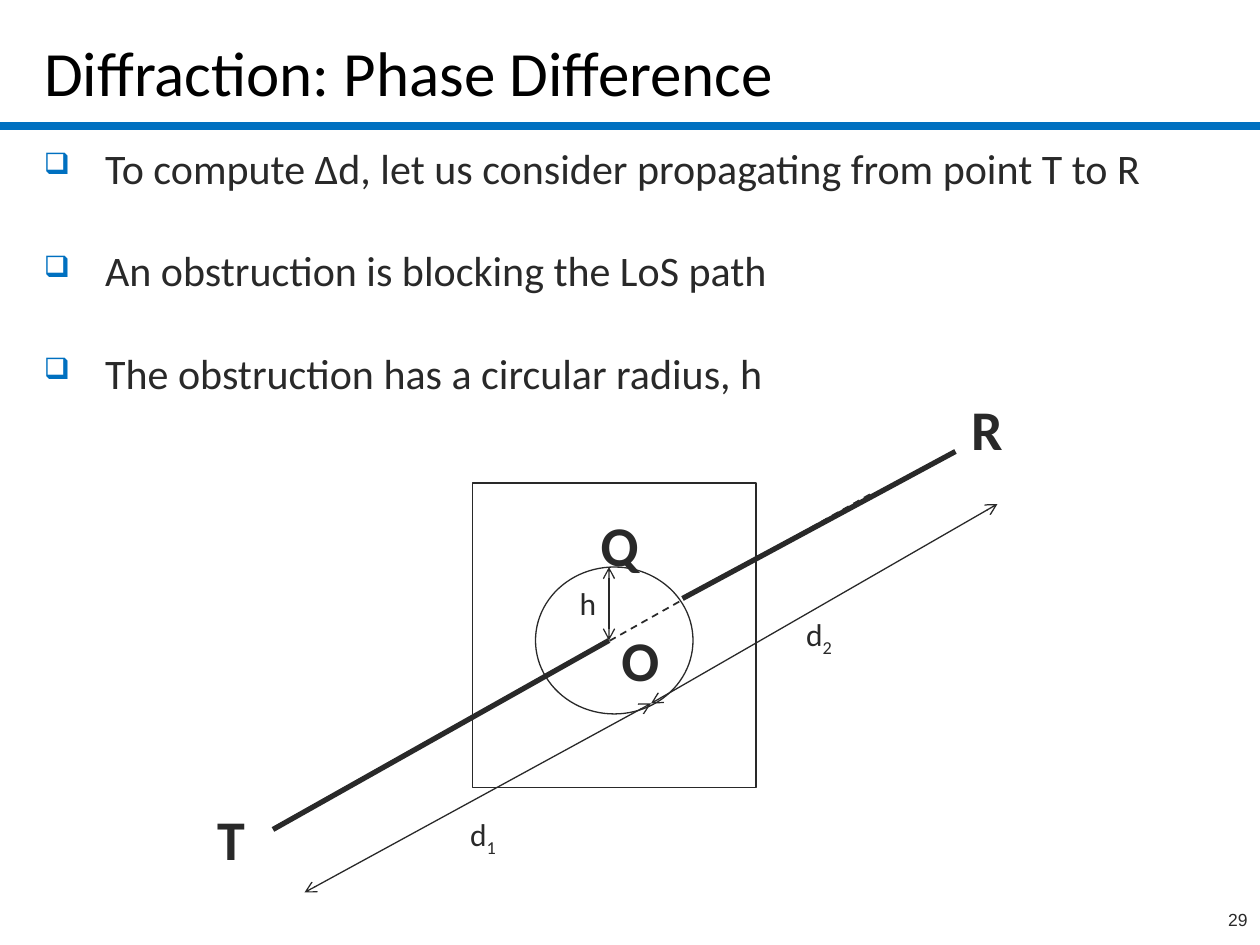
from lxml import etree
from pptx import Presentation
from pptx.dml.color import RGBColor
from pptx.enum import dml, shapes, text
from pptx.oxml.ns import qn
from pptx.util import Pt

BLUE = RGBColor(0x00, 0x70, 0xC0)
INK = RGBColor(0x29, 0x29, 0x29)
BLACK = RGBColor(0, 0, 0)

BULLETS = [
    "To compute ∆d, let us consider propagating from point T to R",
    "An obstruction is blocking the LoS path",
    "The obstruction has a circular radius, h",
]


def place(sp, left, top, width, height):
    box = {"left": left, "top": top, "width": width, "height": height}
    for name, value in box.items():
        setattr(sp, name, Pt(value))


def add_run(p, words, size, color=INK, font="Calibri", bold=False):
    r = p.add_run()
    r.text = words
    for name, value in {"size": Pt(size), "name": font, "bold": bold}.items():
        setattr(r.font, name, value)
    r.font.color.rgb = color
    return r


def add_text_box(parent, *box):
    tf = parent.add_textbox(*map(Pt, box)).text_frame
    tf.word_wrap = True
    return tf


def add_label(parent, words, box, size=18, bold=False, subscript=""):
    tf = add_text_box(parent, *box)
    tf.auto_size = text.MSO_AUTO_SIZE.SHAPE_TO_FIT_TEXT
    p = tf.paragraphs[0]
    p.alignment = text.PP_ALIGN.CENTER
    add_run(p, words, size, bold=bold)
    if subscript:
        r = add_run(p, subscript, size)
        r.font._element.set("baseline", "-25000")


def add_line(parent, start, end, width=0.75, color=INK, arrows=False, dashed=False):
    line = parent.add_connector(shapes.MSO_CONNECTOR.STRAIGHT,
                                *map(Pt, (*start, *end)))
    line.line.color.rgb = color
    line.line.width = Pt(width)
    if dashed:
        line.line.dash_style = dml.MSO_LINE.DASH
    if arrows:
        ln = line.line._get_or_add_ln()
        for tag in ("a:headEnd", "a:tailEnd"):
            etree.SubElement(ln, qn(tag), type="arrow")
    etree.SubElement(line._element.spPr, qn("a:effectLst"))


def add_outline(parent, kind, *box):
    sp = parent.add_shape(kind, *map(Pt, box))
    sp.shadow.inherit = False
    sp.fill.background()
    sp.line.color.rgb = INK
    sp.line.width = Pt(0.75)


def set_bullet(p):
    """Hang the paragraph on a small blue box."""
    pPr = p._p.get_or_add_pPr()
    pPr.set("marL", str(Pt(35)))
    pPr.set("indent", str(-Pt(35)))
    color = etree.SubElement(pPr, qn("a:buClr"))
    etree.SubElement(color, qn("a:srgbClr"), val=str(BLUE))
    etree.SubElement(pPr, qn("a:buSzPct"), val="70000")
    etree.SubElement(pPr, qn("a:buChar"), char="❑")


def add_title(s, words):
    title = s.shapes.title
    place(title, 18, 8, 684, 58)
    tf = title.text_frame
    tf.auto_size = text.MSO_AUTO_SIZE.NONE
    tf.vertical_anchor = text.MSO_ANCHOR.BOTTOM
    p = tf.paragraphs[0]
    p.alignment = text.PP_ALIGN.LEFT
    add_run(p, words, 36, BLACK)


def add_bullets(s):
    tf = add_text_box(s.shapes, 18, 78, 684, 108)
    for i, words in enumerate(BULLETS):
        p = tf.add_paragraph() if i else tf.paragraphs[0]
        p.space_before = Pt(29.6 if i else 0)
        set_bullet(p)
        add_run(p, words, 24)


def add_page_number(s, number):
    p = add_text_box(s.shapes, 570, 516, 150, 24).paragraphs[0]
    p.alignment = text.PP_ALIGN.RIGHT
    add_run(p, number, 10, font="Arial")


def add_diagram(s):
    g = s.shapes.add_group_shape().shapes
    center, top_edge, below = (348, 366), (348, 324), (372, 402)

    add_line(g, (156, 474), center, width=3)
    add_outline(g, shapes.MSO_SHAPE.RECTANGLE, 270, 276, 162, 174)
    add_outline(g, shapes.MSO_SHAPE.OVAL, 306, 324, 90, 84)
    add_line(g, (390, 342), (546, 258), width=3)
    add_line(g, (306, 390), (498, 282), width=1, dashed=True)
    for start, end in ((below, (174, 510)), ((570, 288), below), (top_edge, center)):
        add_line(g, start, end, arrows=True)

    add_label(g, "d", (258, 462, 36, 29), subscript="1")
    add_label(g, "d", (450, 348, 36, 29), subscript="2")
    add_label(g, "h", (324, 330, 24, 29))
    for name, left, top, width in (("T", 114, 456, 36), ("R", 546, 222, 36),
                                   ("Q", 336, 288, 36), ("O", 348, 354, 24)):
        add_label(g, name, (left, top, width, 46), size=32, bold=True)


def main():
    prs = Presentation()
    prs.slide_width, prs.slide_height = Pt(720), Pt(540)
    s = prs.slides.add_slide(prs.slide_layouts[5])
    add_line(s.shapes, (0, 72), (720, 72), width=5, color=BLUE)
    add_bullets(s)
    add_title(s, "Diffraction: Phase Difference")
    add_page_number(s, "29")
    add_diagram(s)
    prs.save("out.pptx")


if __name__ == "__main__":
    main()
